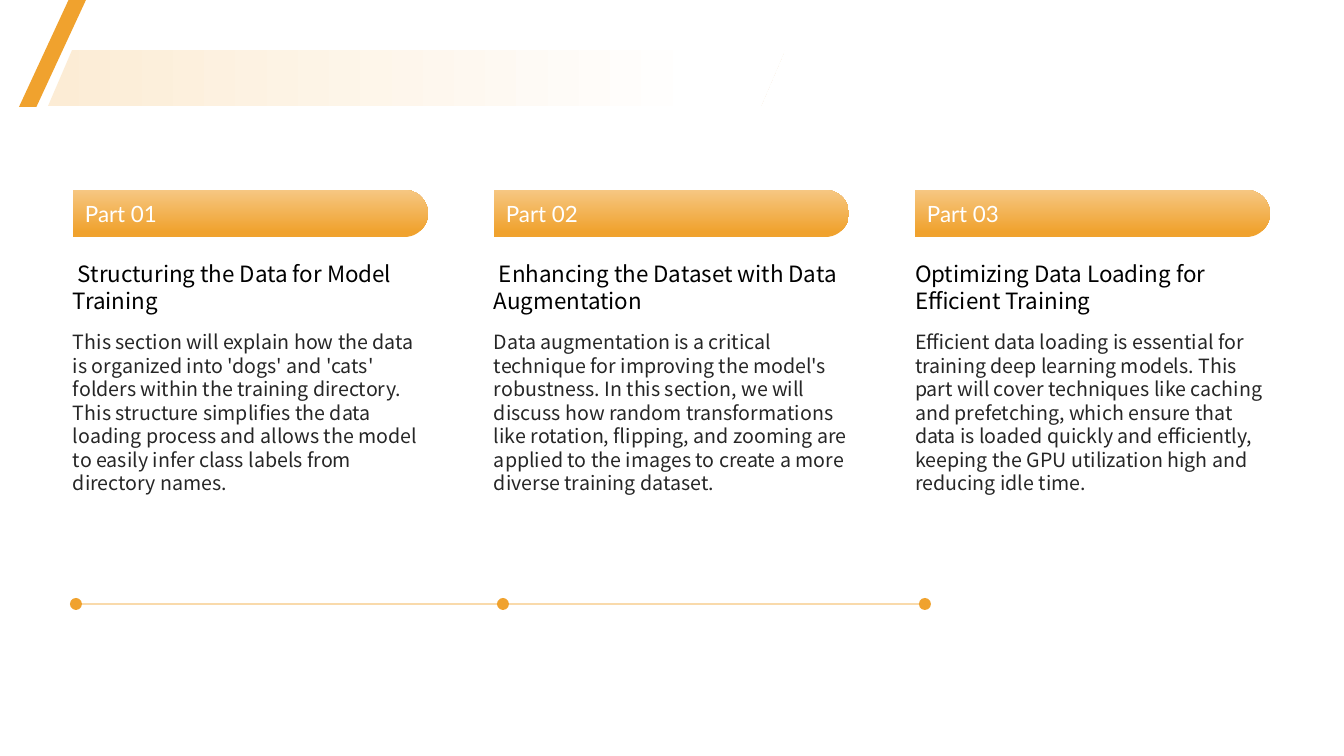
from pptx import Presentation
from pptx.dml.color import RGBColor
from pptx.enum.shapes import MSO_CONNECTOR, MSO_SHAPE
from pptx.enum.text import MSO_ANCHOR
from pptx.oxml.ns import qn
from pptx.util import Pt
from lxml import etree

TOP, MIDDLE = MSO_ANCHOR.TOP, MSO_ANCHOR.MIDDLE
OVAL, SLANT = MSO_SHAPE.OVAL, MSO_SHAPE.PARALLELOGRAM
ROUND_END, STRAIGHT = MSO_SHAPE.ROUND_2_SAME_RECTANGLE, MSO_CONNECTOR.STRAIGHT

PX = 914400 / 100.8
THEME = {
    "orange": "F0A22E", "light": "F6C782", "pale": "FCECD5", "rule": "F9DAAB",
    "white": "FFFFFF", "black": "000000", "body": "262626",
    "label_font": "Lato", "text_font": "Noto Sans CJK SC",
    "heading_size": 16, "body_size": 14,
}

PARTS = [
    ("Part 01", " Structuring the Data for Model Training",
     "This section will explain how the data is organized into 'dogs' and 'cats' "
     "folders within the training directory. This structure simplifies the data "
     "loading process and allows the model to easily infer class labels from "
     "directory names."),
    ("Part 02", " Enhancing the Dataset with Data Augmentation",
     "Data augmentation is a critical technique for improving the model's "
     "robustness. In this section, we will discuss how random transformations "
     "like rotation, flipping, and zooming are applied to the images to create a "
     "more diverse training dataset."),
    ("Part 03", "Optimizing Data Loading for Efficient Training",
     "Efficient data loading is essential for training deep learning models. This "
     "part will cover techniques like caching and prefetching, which ensure that "
     "data is loaded quickly and efficiently, keeping the GPU utilization high "
     "and reducing idle time."),
]


def add_filled(kind, box, stops, angle=0, adj=()):
    """Add a shape with a solid fill (one colour) or a gradient (two stops)."""
    sp = slide.shapes.add_shape(kind, *[round(v * PX) for v in box])
    sp.shadow.inherit = False
    sp.line.fill.background()
    for i, value in enumerate(adj):
        sp.adjustments[i] = value
    if isinstance(stops, str):
        sp.fill.solid()
        sp.fill.fore_color.rgb = RGBColor.from_string(THEME[stops])
    else:
        sp.fill.gradient()
        sp.fill.gradient_angle = angle
        for stop, (position, color) in zip(sp.fill.gradient_stops, stops):
            stop.position = position
            stop.color.rgb = RGBColor.from_string(THEME[color])
    return sp


def add_text(text, box, font, size, color, anchor, wrap=True):
    tf = slide.shapes.add_textbox(*[round(v * PX) for v in box]).text_frame
    tf.margin_left = tf.margin_top = tf.margin_right = tf.margin_bottom = 0
    tf.word_wrap = wrap
    tf.vertical_anchor = anchor
    tf.text = text
    r = tf.paragraphs[0].runs[0]
    r.font.name = THEME[font]
    r.font.size = Pt(THEME[size])
    r.font.color.rgb = RGBColor.from_string(THEME[color])


prs = Presentation()
prs.slide_width, prs.slide_height = round(1344 * PX), round(756 * PX)
slide = prs.slides.add_slide(prs.slide_layouts[6])

# Three columns: bar, label, heading and body
COL_X, COL_STEP, COL_W = 73, 421, 355
BAR_TOP, BAR_H = 190, 47
turn = (COL_W - BAR_H) // 2  # offset of the upright bar before its quarter turn
for i, (label, heading, body) in enumerate(PARTS):
    x = COL_X + i * COL_STEP
    bar = add_filled(ROUND_END, (x + turn, BAR_TOP - turn, BAR_H, COL_W),
                     [(0.1, "orange"), (1, "light")], 180, (0.5, 0))
    bar.rotation = 90
    add_text(label, (x + 12, 198, 215, 31), "label_font", "heading_size", "white",
             MIDDLE, wrap=False)
    add_text(heading, (x, 247, COL_W, 80), "text_font", "heading_size", "black", MIDDLE)
    add_text(body, (x, 330, COL_W, 242), "text_font", "body_size", "body", TOP)

# Timeline
DOT, LINE_Y, DOT_XS = 12, 604, (76, 503, 925)
line = slide.shapes.add_connector(
    STRAIGHT, *[round(v * PX) for v in (DOT_XS[0], LINE_Y, DOT_XS[-1], LINE_Y)])
line.line.color.rgb = RGBColor.from_string(THEME["rule"])
line.line.width = Pt(1.5)
etree.SubElement(line._element.spPr, qn("a:effectLst"))
for x in DOT_XS:
    add_filled(OVAL, (x - DOT / 2, LINE_Y - DOT / 2, DOT, DOT), "orange")

# Slanted header band and stripe
add_filled(SLANT, (48, 50, 737, 56), [(0, "pale"), (0.89, "white")], adj=(0.43,))
add_filled(SLANT, (19, 0, 67, 107), "orange", adj=(0.74,))

prs.save("out.pptx")
